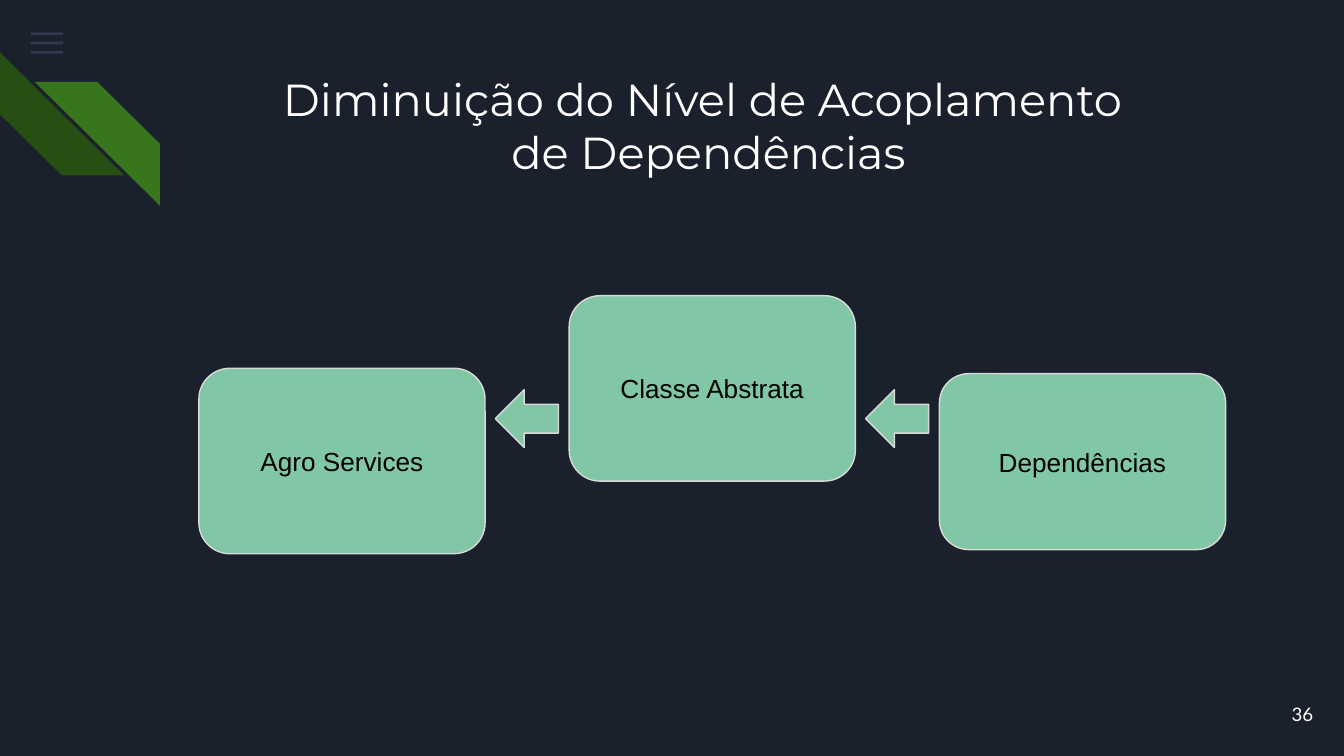
from lxml.etree import SubElement
from pptx import Presentation
from pptx.dml.color import RGBColor
from pptx.enum.shapes import MSO_SHAPE
from pptx.enum.text import MSO_ANCHOR, MSO_AUTO_SIZE, PP_ALIGN
from pptx.oxml.ns import qn
from pptx.util import Inches, Pt

COLORS = {
    "background": "1B212C",
    "menu": "55688B",
    "light_stripe": "38761D",
    "dark_stripe": "274E13",
    "node": "82C7A5",
    "outline": "D9D9D9",
    "node_text": "000000",
    "light_text": "FFFFFF",
}


def color(name):
    return RGBColor.from_string(COLORS[name])


def write_text(shape, text, font, size, text_color, align, anchor):
    frame = shape.text_frame
    settings = {"word_wrap": True, "auto_size": MSO_AUTO_SIZE.NONE, "vertical_anchor": anchor}
    for side in ("left", "right", "top", "bottom"):
        settings[f"margin_{side}"] = Inches(0.1)
    for name, value in settings.items():
        setattr(frame, name, value)
    para = frame.paragraphs[0]
    para.text = text
    para.alignment = align
    for span in para.runs:
        for name, value in {"name": font, "size": Pt(size), "bold": False}.items():
            setattr(span.font, name, value)
        span.font.color.rgb = color(text_color)


def add_filled(page, kind, bounds, fill, outline=None, rotation=0, adjustments=()):
    shape = page.shapes.add_shape(kind, *map(Inches, bounds))
    shape.shadow.inherit = False
    shape.rotation = rotation
    for index, value in enumerate(adjustments):
        shape.adjustments[index] = value
    shape.fill.solid()
    shape.fill.fore_color.rgb = color(fill)
    if outline:
        shape.line.color.rgb = color(outline)
        shape.line.width = Pt(0.75)
    else:
        shape.line.fill.background()
    return shape


def add_menu_icon(page):
    for row in range(3):
        bar = add_filled(page, MSO_SHAPE.RECTANGLE, (0.23, 0.24 + 0.07 * row, 0.24, 0.02), "menu")
        tint = bar.element.spPr.find(f"{qn('a:solidFill')}/{qn('a:srgbClr')}")
        SubElement(tint, qn("a:alpha")).set("val", "36000")


def add_stripes(page):
    kind = MSO_SHAPE.DIAGONAL_STRIPE
    light = add_filled(page, kind, (0.26, 0.61, 0.93, 0.92), "light_stripe", adjustments=[0.5])
    light.element.spPr.get_or_add_xfrm().set("flipH", "1")
    add_filled(page, kind, (0, 0.38, 0.92, 0.93), "dark_stripe", rotation=270, adjustments=[0.5])


def add_title(page, text):
    title = page.shapes.title
    title.left, title.top, title.width, title.height = map(Inches, (1.42, 0.43, 7.7, 1))
    write_text(title, text, "Montserrat", 24, "light_text", PP_ALIGN.CENTER, MSO_ANCHOR.TOP)


def add_page_number(page, number):
    box = page.shapes.add_textbox(*map(Inches, (9.27, 5.1, 0.6, 0.43)))
    write_text(box, number, "Lato", 10, "light_text", PP_ALIGN.RIGHT, MSO_ANCHOR.MIDDLE)


def add_node(page, text, left, top, height):
    node = add_filled(page, MSO_SHAPE.ROUNDED_RECTANGLE, (left, top, 2.13, height),
                      "node", "outline", adjustments=[0.167])
    write_text(node, text, "Arial", 14, "node_text", PP_ALIGN.CENTER, MSO_ANCHOR.MIDDLE)


def add_left_arrow(page, left):
    add_filled(page, MSO_SHAPE.RIGHT_ARROW, (left, 2.9, 0.47, 0.43), "node", "outline",
               rotation=180, adjustments=[0.5, 0.5])


def main():
    deck = Presentation()
    deck.slide_width = Inches(10)
    deck.slide_height = deck.slide_width * 9 // 16
    page = deck.slides.add_slide(deck.slide_layouts[5])
    page.background.fill.solid()
    page.background.fill.fore_color.rgb = color("background")

    # Corner decoration
    add_menu_icon(page)
    add_stripes(page)

    # Title and page number
    add_title(page, "Diminuição do Nível de Acoplamento \vde Dependências")
    add_page_number(page, "36")

    # Dependency chain, pointing left
    nodes = [("Agro Services", 2.74, 1.38), ("Classe Abstrata", 2.2, 1.38),
             ("Dependências", 2.78, 1.31)]
    first_left, last_left = 1.48, 6.99
    pitch = (last_left - first_left) / (len(nodes) - 1)
    for index, (text, top, height) in enumerate(nodes):
        left = first_left + pitch * index
        add_node(page, text, left, top, height)
        if index:
            add_left_arrow(page, left - 0.55)

    deck.save("out.pptx")


if __name__ == "__main__":
    main()
